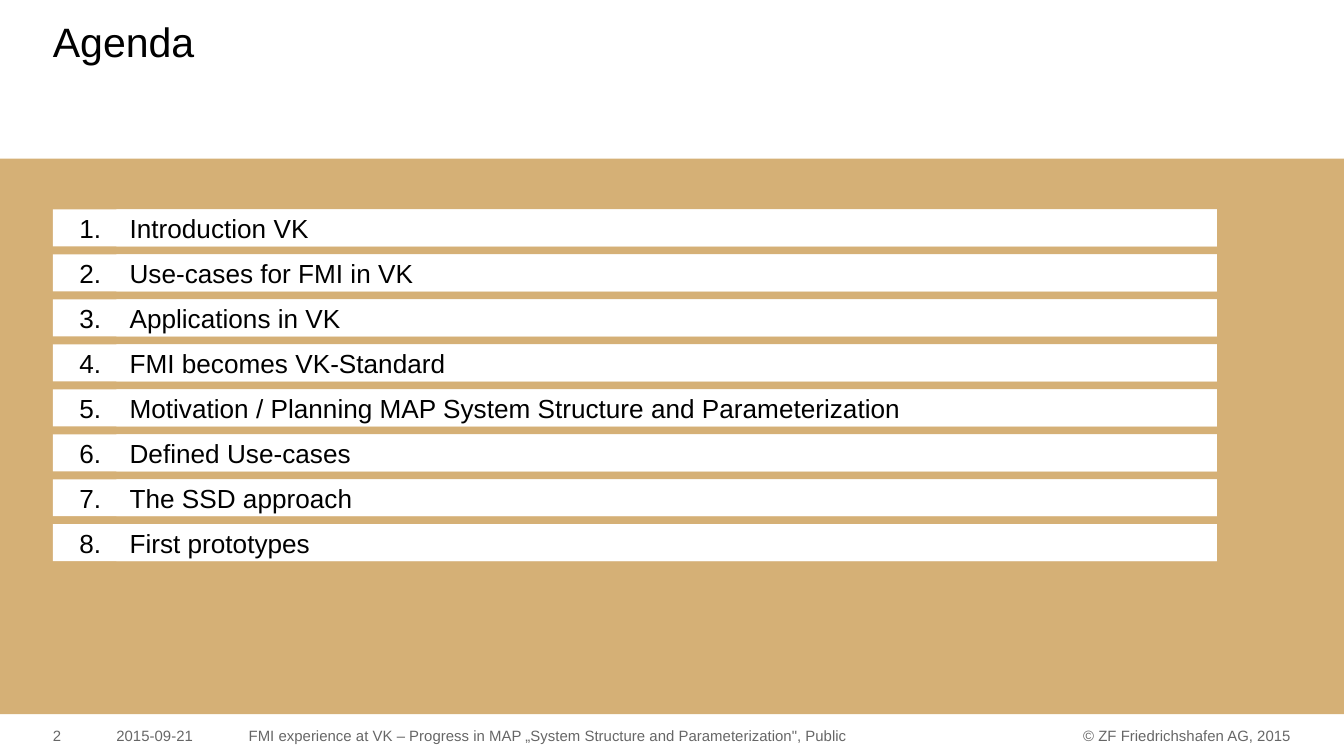
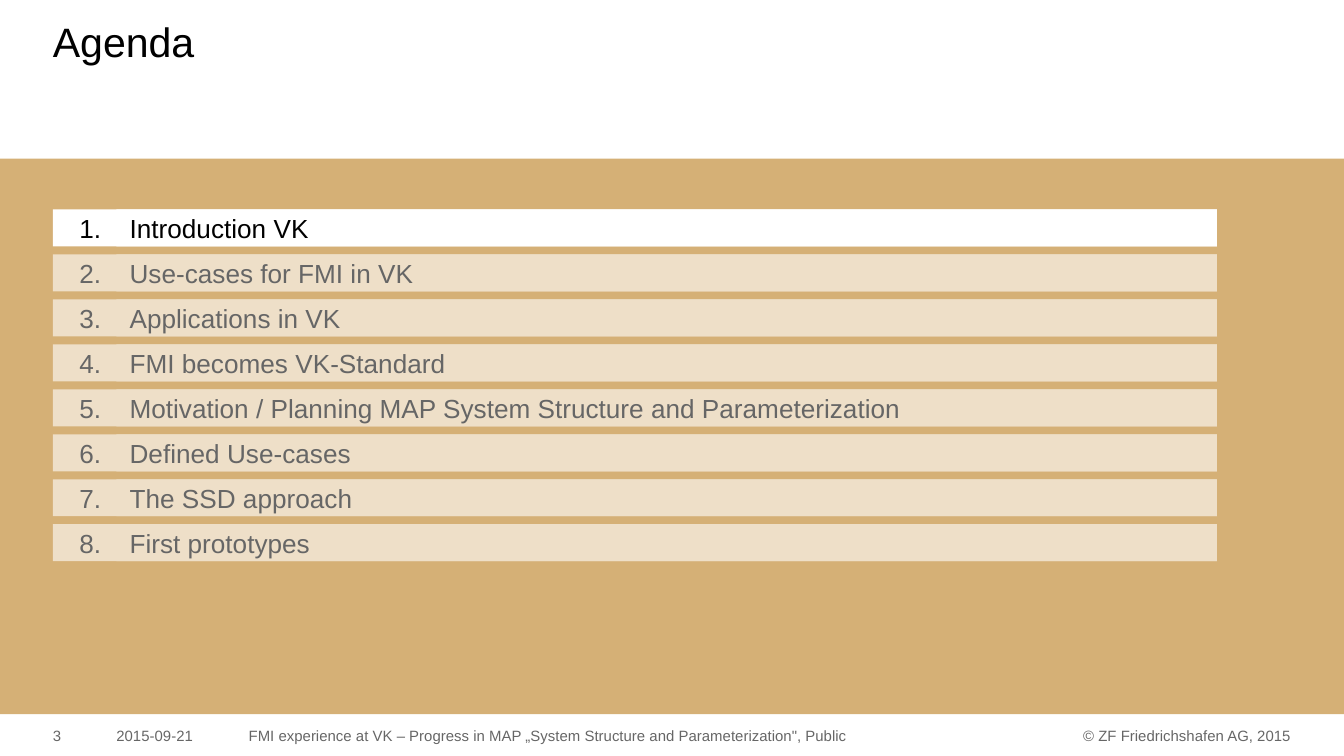
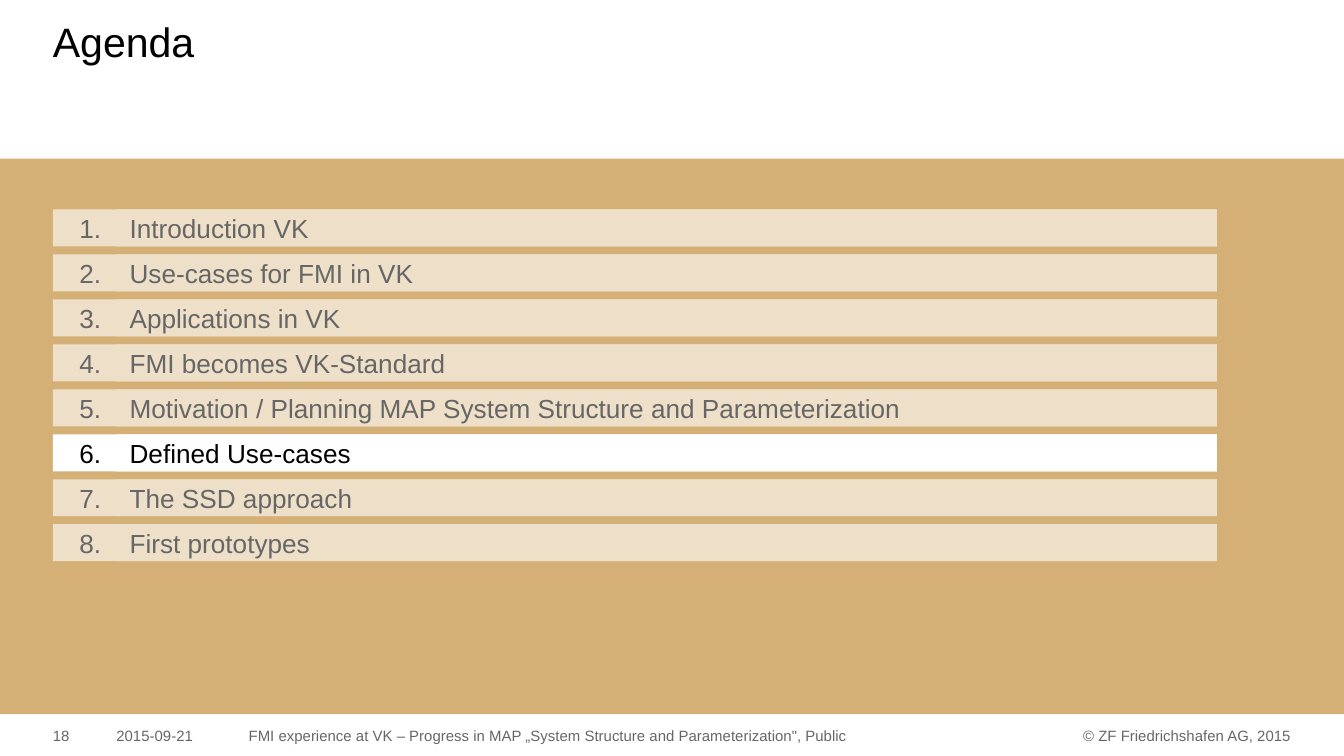
from pptx import Presentation
from pptx import util as u
from pptx.dml.color import RGBColor
from pptx.enum import shapes, text

# Content
TITLE = "Agenda"
TOPICS = [
    "Introduction VK",
    "Use-cases for FMI in VK",
    "Applications in VK",
    "FMI becomes VK-Standard",
    "Motivation / Planning MAP System Structure and Parameterization",
    "Defined Use-cases",
    "The SSD approach",
    "First prototypes",
]
SLIDES = [  # page number, highlighted topics
    (2, range(1, 9)),
    (3, [1]),
    (18, [6]),
]
DATE = "2015-09-21"
TALK = "FMI experience at VK – Progress in MAP „System Structure and Parameterization\", Public"
COPYRIGHT = "© ZF Friedrichshafen AG, 2015"

# Colours and type
BLACK = RGBColor(0x00, 0x00, 0x00)
WHITE = RGBColor(0xFF, 0xFF, 0xFF)
GREY = RGBColor(0x66, 0x66, 0x66)
GOLD = RGBColor(0xD5, 0xB0, 0x76)
PALE = RGBColor(0xEE, 0xDF, 0xC8)
FONT = "Arial"
LEFT, RIGHT = text.PP_ALIGN.LEFT, text.PP_ALIGN.RIGHT
TOP, MIDDLE = text.MSO_ANCHOR.TOP, text.MSO_ANCHOR.MIDDLE

# Layout in centimetres
WIDTH, HEIGHT = 25.4, 14.29
MARGIN, LABEL_X, ROW_END = 1, 2.2, 23
BAND_Y, BAND_H = 3, 10.5
ROW_Y, ROW_H, ROW_STEP = 3.96, 0.7, 0.85
FOOT_Y, FOOT_H = 13.8, 0.3
NO_INSETS = (0, 0, 0, 0)
NUMBER_INSETS = (0.5, 0, 0, 0)
LABEL_INSETS = (0.25, 0.13, 0.25, 0.13)


def write(sp, words, size, color, insets, anchor=TOP, align=LEFT, spacing=None):
    tf = sp.text_frame
    sides = ("margin_left", "margin_top", "margin_right", "margin_bottom")
    for side, inset in zip(sides, insets):
        setattr(tf, side, u.Cm(inset))
    tf.word_wrap = True
    tf.auto_size = text.MSO_AUTO_SIZE.NONE
    tf.vertical_anchor = anchor
    p = tf.paragraphs[0]
    p.alignment = align
    if spacing:
        p.line_spacing = u.Pt(spacing)
    r = p.add_run()
    r.text = words
    for name, value in {"name": FONT, "size": u.Pt(size), "bold": False}.items():
        setattr(r.font, name, value)
    r.font.color.rgb = color


def add_bar(s, x, y, w, h, color):
    sp = s.shapes.add_shape(shapes.MSO_SHAPE.RECTANGLE, *map(u.Cm, (x, y, w, h)))
    sp.shadow.inherit = False
    sp.fill.solid()
    sp.fill.fore_color.rgb = color
    sp.line.fill.background()
    return sp


def add_footer(s, page):
    parts = [
        (COPYRIGHT, 19.9, 4.5, RIGHT),
        (str(page), MARGIN, 1, LEFT),
        (DATE, LABEL_X, 2.5, LEFT),
        (TALK, 4.7, 12.7, LEFT),
    ]
    for words, x, w, align in parts:
        sp = s.shapes.add_textbox(*map(u.Cm, (x, FOOT_Y, w, FOOT_H)))
        write(sp, words, 8, GREY, NO_INSETS, align=align, spacing=8)


def add_title(s):
    sp = s.shapes.title
    box = {"left": MARGIN, "top": 0.4, "width": 20.5, "height": 1.65}
    for name, value in box.items():
        setattr(sp, name, u.Cm(value))
    write(sp, TITLE, 22, BLACK, NO_INSETS, spacing=24)


def add_agenda(s, active):
    add_bar(s, 0, BAND_Y, WIDTH, BAND_H, GOLD)
    for number, topic in enumerate(TOPICS, 1):
        fill, color = (WHITE, BLACK) if number in active else (PALE, GREY)
        y = ROW_Y + (number - 1) * ROW_STEP
        cells = [(f"{number}.", MARGIN, NUMBER_INSETS), (topic, LABEL_X, LABEL_INSETS)]
        for words, x, insets in cells:
            sp = add_bar(s, x, y, ROW_END - x, ROW_H, fill)
            write(sp, words, 14, color, insets, anchor=MIDDLE)


def main():
    prs = Presentation()
    prs.slide_width, prs.slide_height = u.Cm(WIDTH), u.Cm(HEIGHT)
    for page, active in SLIDES:
        s = prs.slides.add_slide(prs.slide_layouts[5])
        add_footer(s, page)
        add_title(s)
        add_agenda(s, active)
    prs.save("out.pptx")


if __name__ == "__main__":
    main()
